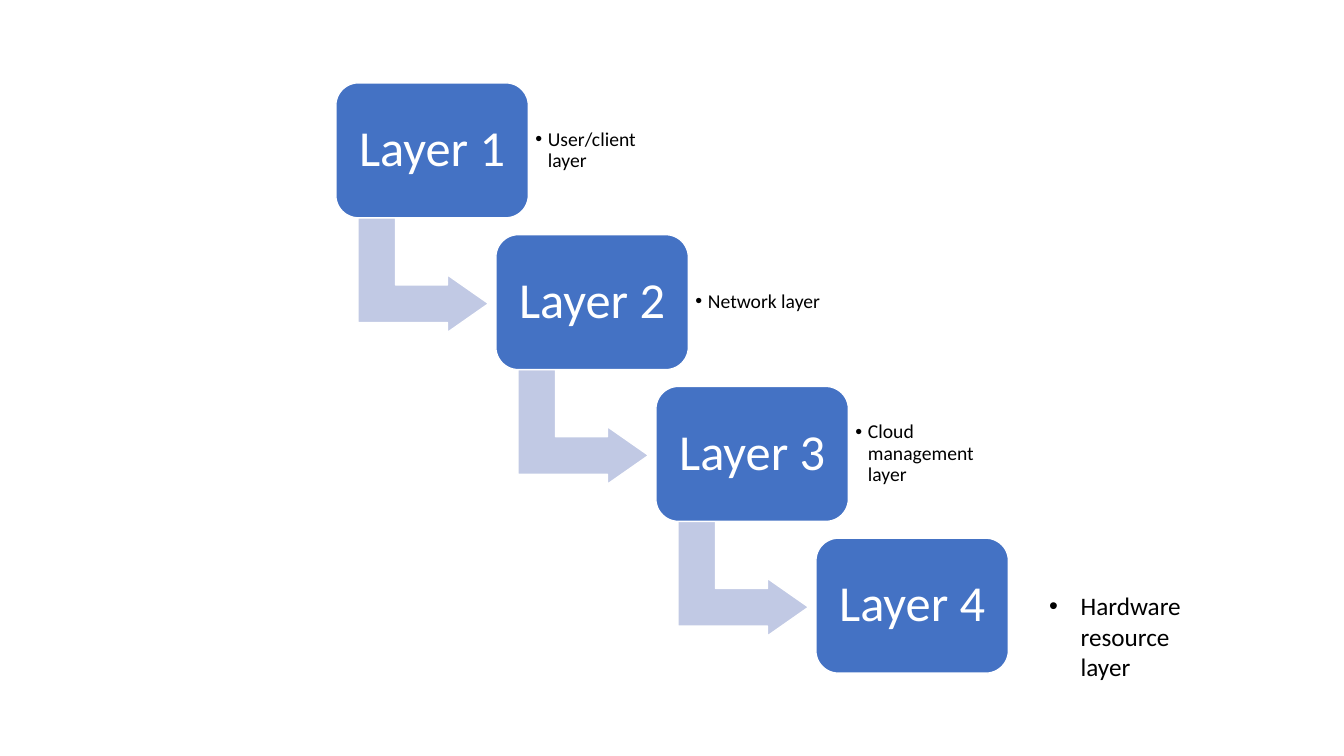
"""Build a slide with a four-step staircase of cloud layers."""
from lxml import etree
from pptx import Presentation, util as u
from pptx.dml.color import RGBColor
from pptx.enum import shapes, text
from pptx.oxml.ns import qn

BLUE = RGBColor(0x44, 0x72, 0xC4)
PALE = RGBColor(0xC1, 0xC9, 0xE4)
WHITE = RGBColor(0xFF, 0xFF, 0xFF)
BLACK = RGBColor(0, 0, 0)

LEFT, TOP = 239.9, 59.2
STEP_X, STEP_Y = 114.3, 108.4
BOX_W, BOX_H = 137.5, 96.4
LABELS = ["User/client layer", "Network layer", "Cloud management layer"]


class Staircase:
    font = "Calibri"

    def __init__(self, slide):
        self.s = slide

    def shape(self, kind, x, y, w, h, fill, adjustments):
        sp = self.s.shapes.add_shape(kind, *map(u.Pt, (x, y, w, h)))
        sp.shadow.inherit = False
        sp.fill.solid()
        sp.fill.fore_color.rgb = fill
        sp.line.color.rgb = WHITE
        sp.line.width = u.Pt(1)
        for i, value in enumerate(adjustments):
            sp.adjustments[i] = value
        return sp

    def label(self, sp, words, size, color, frame, paragraph):
        tf = sp.text_frame
        for name, value in {"word_wrap": True, **frame}.items():
            setattr(tf, name, value)
        p = tf.paragraphs[0]
        for name, value in paragraph.items():
            setattr(p, name, value)
        r = p.add_run()
        r.text = words
        for name, value in {"name": self.font, "size": u.Pt(size)}.items():
            setattr(r.font, name, value)
        r.font.color.rgb = color
        return p

    def box(self, x, y, words):
        sp = self.shape(shapes.MSO_SHAPE.ROUNDED_RECTANGLE, x, y, BOX_W, BOX_H, BLUE, [0.167])
        self.label(sp, words, 36, WHITE,
                   {**margins(10.8), "vertical_anchor": text.MSO_ANCHOR.MIDDLE},
                   {"alignment": text.PP_ALIGN.CENTER, "line_spacing": 0.9})

    def arrow(self, x, y):
        sp = self.shape(shapes.MSO_SHAPE.BENT_UP_ARROW, x, y, 82, 93.4, PALE, [0.328, 0.25, 0.358])
        sp.rotation = 90

    def bullet(self, x, y, w, h, words, size, indent, frame, paragraph):
        sp = self.s.shapes.add_textbox(*map(u.Pt, (x, y, w, h)))
        p = self.label(sp, words, size, BLACK, frame, paragraph)
        pPr = p._p.get_or_add_pPr()
        pPr.set("marL", str(u.Pt(indent)))
        pPr.set("indent", str(-u.Pt(indent)))
        etree.SubElement(pPr, qn("a:buFont"), typeface="Arial")
        etree.SubElement(pPr, qn("a:buChar"), char="•")


def margins(size):
    return {f"margin_{side}": u.Pt(size) for side in ("left", "top", "right", "bottom")}


def main():
    prs = Presentation()
    prs.slide_width, prs.slide_height = u.Pt(960), u.Pt(540)
    stairs = Staircase(prs.slides.add_slide(prs.slide_layouts[6]))
    middle = {**margins(5), "vertical_anchor": text.MSO_ANCHOR.MIDDLE}
    for i in range(len(LABELS) + 1):
        x, y = LEFT + i * STEP_X, TOP + i * STEP_Y
        if i < len(LABELS):
            stairs.arrow(x + 21.4, y + 90.5)
            stairs.bullet(x + BOX_W, y + 9.2, 100, 77.8, LABELS[i], 14, 9,
                          middle, {"line_spacing": 0.9})
        stairs.box(x, y, f"Layer {i + 1}")
    stairs.bullet(742.3, 418.3, 136.8, 72.7, "Hardware resource layer", 18, 22.5,
                  {"auto_size": text.MSO_AUTO_SIZE.SHAPE_TO_FIT_TEXT}, {})
    prs.save("out.pptx")


if __name__ == "__main__":
    main()
